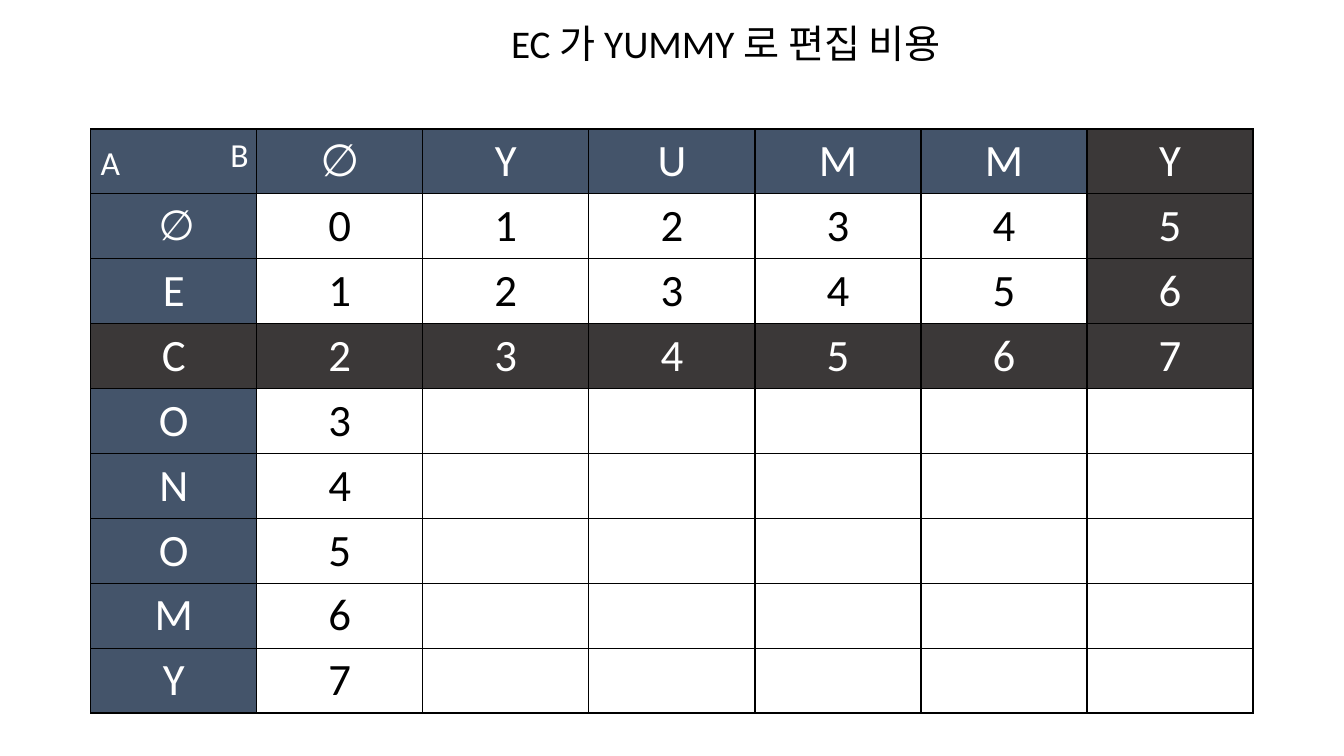
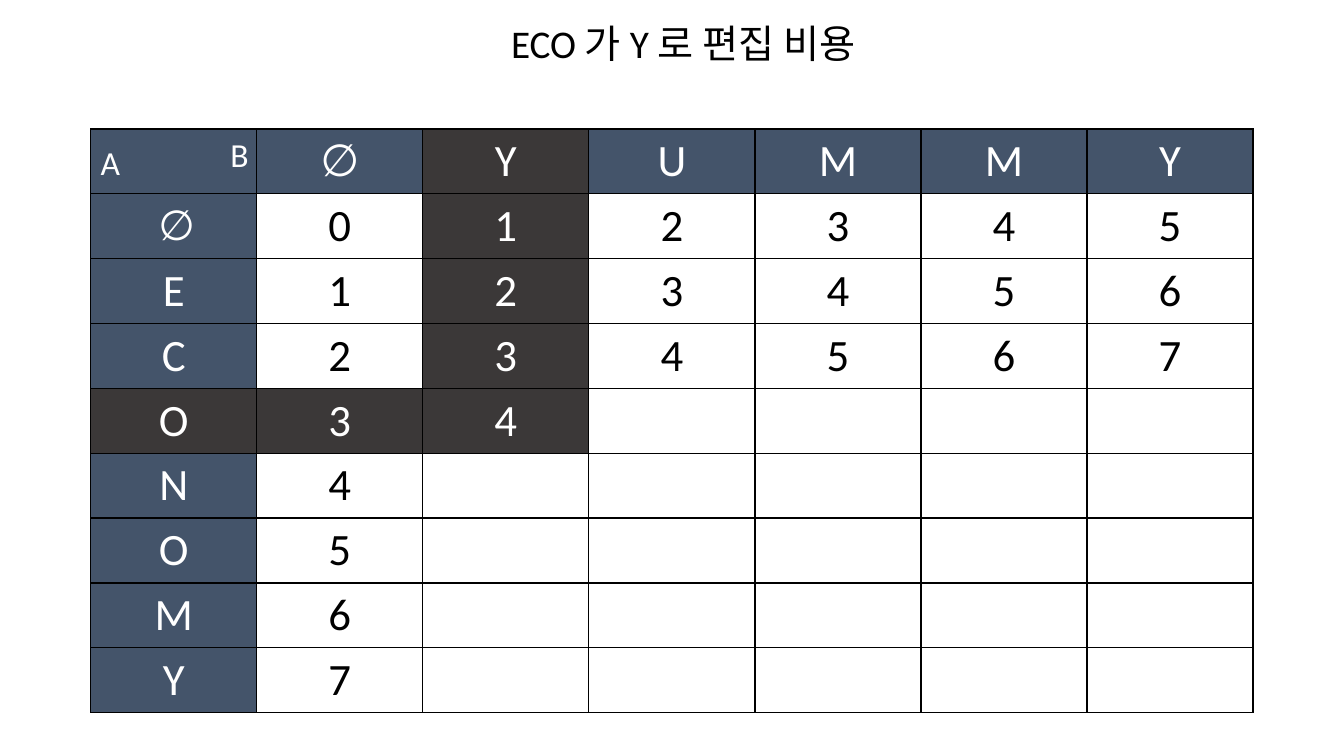
from lxml import etree
from pptx import Presentation
from pptx.dml.color import RGBColor
from pptx.enum.text import MSO_ANCHOR, PP_ALIGN
from pptx.oxml.ns import qn
from pptx.util import Inches, Pt

CENTER, MIDDLE = PP_ALIGN.CENTER, MSO_ANCHOR.MIDDLE
COLORS = {"head": "44546A", "mark": "3B3838", "white": "FFFFFF", "black": "000000"}
FONT = "Calibri"
EMPTY = "∅"
SOURCE, TARGET = "ECONOMY", "YUMMY"
WIDE, HIGH = Inches(13.33), Inches(7.5)
GRID = (Inches(0.9), Inches(1.28), Inches(11.53), Inches(5.79))


def color(name):
    return RGBColor.from_string(COLORS[name])


def style(para, size, name):
    for run in para.runs:
        run.font.name = FONT
        run.font.size = Pt(size)
        run.font.color.rgb = color(name)


def add_text(slide, text, box, size, name, wrap=False):
    frame = slide.shapes.add_textbox(*box).text_frame
    frame.word_wrap = wrap
    frame.text = text
    style(frame.paragraphs[0], size, name)


def outline(cell):
    props = cell._tc.get_or_add_tcPr()
    for side in ("a:lnL", "a:lnR", "a:lnT", "a:lnB"):
        line = etree.SubElement(props, qn(side), w=str(Pt(1)))
        fill = etree.SubElement(line, qn("a:solidFill"))
        etree.SubElement(fill, qn("a:srgbClr"), val=COLORS["black"])


def cell_text(row, col, focus):
    """Headers spell the words; costs show up to the focus cell."""
    if row == 0:
        return "" if col == 0 else (EMPTY + TARGET)[col - 1]
    if col == 0:
        return (EMPTY + SOURCE)[row - 1]
    known = col == 1 or (row, col) <= focus
    return str(row + col - 2) if known else ""


def cell_fill(row, col, focus):
    """The focus cell marks its way up to the column head and left to the row head."""
    last_row, last_col = focus
    if (row == last_row and col <= last_col) or (col == last_col and row <= last_row):
        return "mark"
    return "white" if row and col else "head"


def add_costs(slide, box, focus):
    left, top, width, height = box
    rows, cols = len(SOURCE) + 2, len(TARGET) + 2
    table = slide.shapes.add_table(rows, cols, left, top, width, height).table
    table.first_row = table.horz_banding = False
    for row in range(rows):
        for col in range(cols):
            cell = table.cell(row, col)
            outline(cell)
            fill = cell_fill(row, col, focus)
            cell.fill.solid()
            cell.fill.fore_color.rgb = color(fill)
            cell.vertical_anchor = MIDDLE
            cell.text = cell_text(row, col, focus)
            para = cell.text_frame.paragraphs[0]
            para.alignment = CENTER
            corner = (row, col) == (1, 0)
            if corner:
                cell.margin_left = Inches(0.16)
            style(para, 30 if corner else 32, "black" if fill == "white" else "white")
    step = width // cols
    add_text(slide, "A", (left, top + Inches(0.08), Inches(0.4), Inches(0.5)), 24, "white")
    add_text(slide, "B", (left + step - Inches(0.36), top, Inches(0.38), Inches(0.5)),
             24, "white")


def add_step(deck, focus, width):
    """One slide: the title names the prefixes compared in the focus cell."""
    slide = deck.slides.add_slide(deck.slide_layouts[6])
    row, col = focus
    title = f"{SOURCE[:row - 1]} 가 {TARGET[:col - 1]} 로 편집 비용"
    add_costs(slide, GRID, focus)
    add_text(slide, title, (Inches(4.97), Inches(0.14), Inches(width), Inches(0.57)),
             28, "black", wrap=True)


def main():
    deck = Presentation()
    deck.slide_width, deck.slide_height = WIDE, HIGH
    for focus, width in (((3, 6), 4.71), ((4, 2), 3.85)):
        add_step(deck, focus, width)
    deck.save("out.pptx")


if __name__ == "__main__":
    main()
